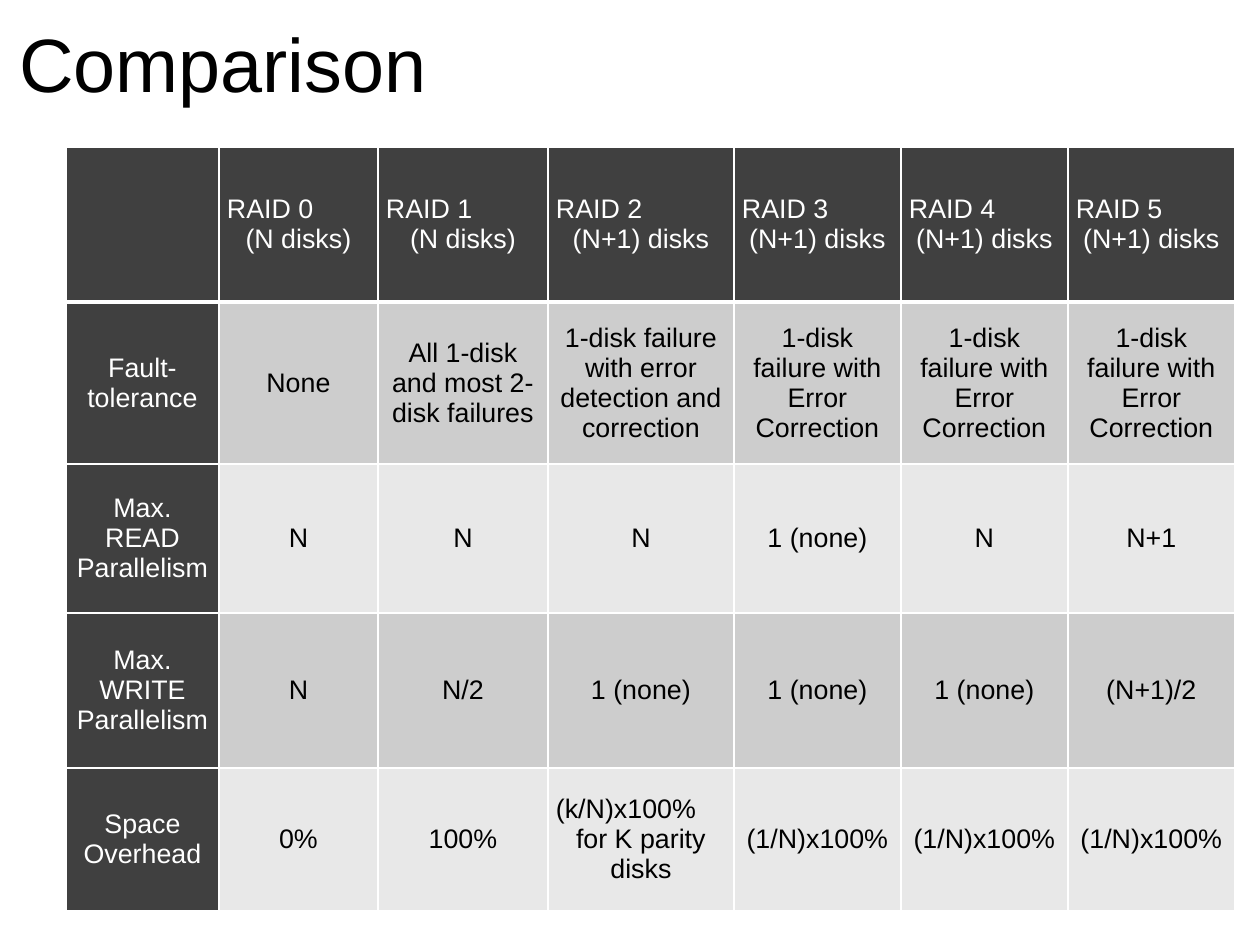
"""Builds the slide that compares RAID levels 0 to 5."""
from lxml import etree
from pptx import Presentation
from pptx.dml.color import RGBColor
from pptx.enum.text import MSO_ANCHOR, PP_ALIGN
from pptx.oxml.ns import qn
from pptx.util import Pt

TITLE = "Comparison"
FAILURE = "1-disk failure with Error Correction"
ROWS = [
    ["", "RAID 0\n(N disks)", "RAID 1\n(N disks)"]
    + [f"RAID {level}\n(N+1) disks" for level in range(2, 6)],
    ["Fault-tolerance", "None", "All 1-disk and most 2-disk failures",
     "1-disk failure with error detection and correction", FAILURE, FAILURE, FAILURE],
    ["Max. READ Parallelism", "N", "N", "N", "1 (none)", "N", "N+1"],
    ["Max. WRITE Parallelism", "N", "N/2", "1 (none)", "1 (none)", "1 (none)", "(N+1)/2"],
    ["Space Overhead", "0%", "100%", "(k/N)x100%\nfor K parity disks",
     "(1/N)x100%", "(1/N)x100%", "(1/N)x100%"],
]
COL_WIDTHS = [153, 159, 170, 186, 167, 167, 167]
ROW_HEIGHTS = [155, 162, 149, 155, 143]
TABLE_LEFT, TABLE_TOP = 66, 147
TITLE_BOX = (7, 2, 1208, 120)
TITLE_INSET, CELL_INSET = 12, 8

BLACK = RGBColor(0x00, 0x00, 0x00)
WHITE = RGBColor(0xFF, 0xFF, 0xFF)
HEADER = RGBColor(0x40, 0x40, 0x40)
BANDS = [RGBColor(0xE8, 0xE8, 0xE8), RGBColor(0xCD, 0xCD, 0xCD)]
FONT = "Arial"
LEFT, CENTER = PP_ALIGN.LEFT, PP_ALIGN.CENTER
MIDDLE = MSO_ANCHOR.MIDDLE
EMU_PER_PX = 8064


def px(n):
    return n * EMU_PER_PX


def set_insets(box, inset):
    box.margin_left = box.margin_right = px(inset)
    box.margin_top = box.margin_bottom = px(inset)
    box.vertical_anchor = MIDDLE


def add_run(p, text, size, color):
    r = p.add_run()
    r.text = text
    r.font.name, r.font.size, r.font.bold = FONT, Pt(size), False
    r.font.color.rgb = color


def set_borders(cell, widths):
    tc_pr = cell._tc.get_or_add_tcPr()
    for side, width in widths.items():
        ln = etree.SubElement(tc_pr, qn(f"a:ln{side}"), w=str(Pt(width)))
        fill = etree.SubElement(ln, qn("a:solidFill"))
        etree.SubElement(fill, qn("a:srgbClr"), val=str(WHITE))


def fill_cell(cell, text, row, col):
    is_header = row == 0 or col == 0
    set_borders(cell, {"L": 1, "R": 1, "T": 3 if row == 1 else 1, "B": 3 if row == 0 else 1})
    cell.fill.solid()
    cell.fill.fore_color.rgb = HEADER if is_header else BANDS[row % 2]
    set_insets(cell, CELL_INSET)
    lines = text.split("\n") if text else []
    tf = cell.text_frame
    for i, line in enumerate(lines):
        p = tf.add_paragraph() if i else tf.paragraphs[0]
        p.alignment = CENTER if i == len(lines) - 1 else LEFT
        add_run(p, line, 17, WHITE if is_header else BLACK)


def main():
    prs = Presentation()
    prs.slide_width, prs.slide_height = px(1260), px(945)
    s = prs.slides.add_slide(prs.slide_layouts[6])

    tf = s.shapes.add_textbox(*map(px, TITLE_BOX)).text_frame
    tf.word_wrap = True
    set_insets(tf, TITLE_INSET)
    add_run(tf.paragraphs[0], TITLE, 48, BLACK)

    size = px(sum(COL_WIDTHS)), px(sum(ROW_HEIGHTS))
    table = s.shapes.add_table(len(ROWS), len(COL_WIDTHS),
                               px(TABLE_LEFT), px(TABLE_TOP), *size).table
    for column, width in zip(table.columns, COL_WIDTHS):
        column.width = px(width)
    for row, height in zip(table.rows, ROW_HEIGHTS):
        row.height = px(height)
    for i, texts in enumerate(ROWS):
        for j, text in enumerate(texts):
            fill_cell(table.cell(i, j), text, i, j)

    prs.save("out.pptx")


if __name__ == "__main__":
    main()
